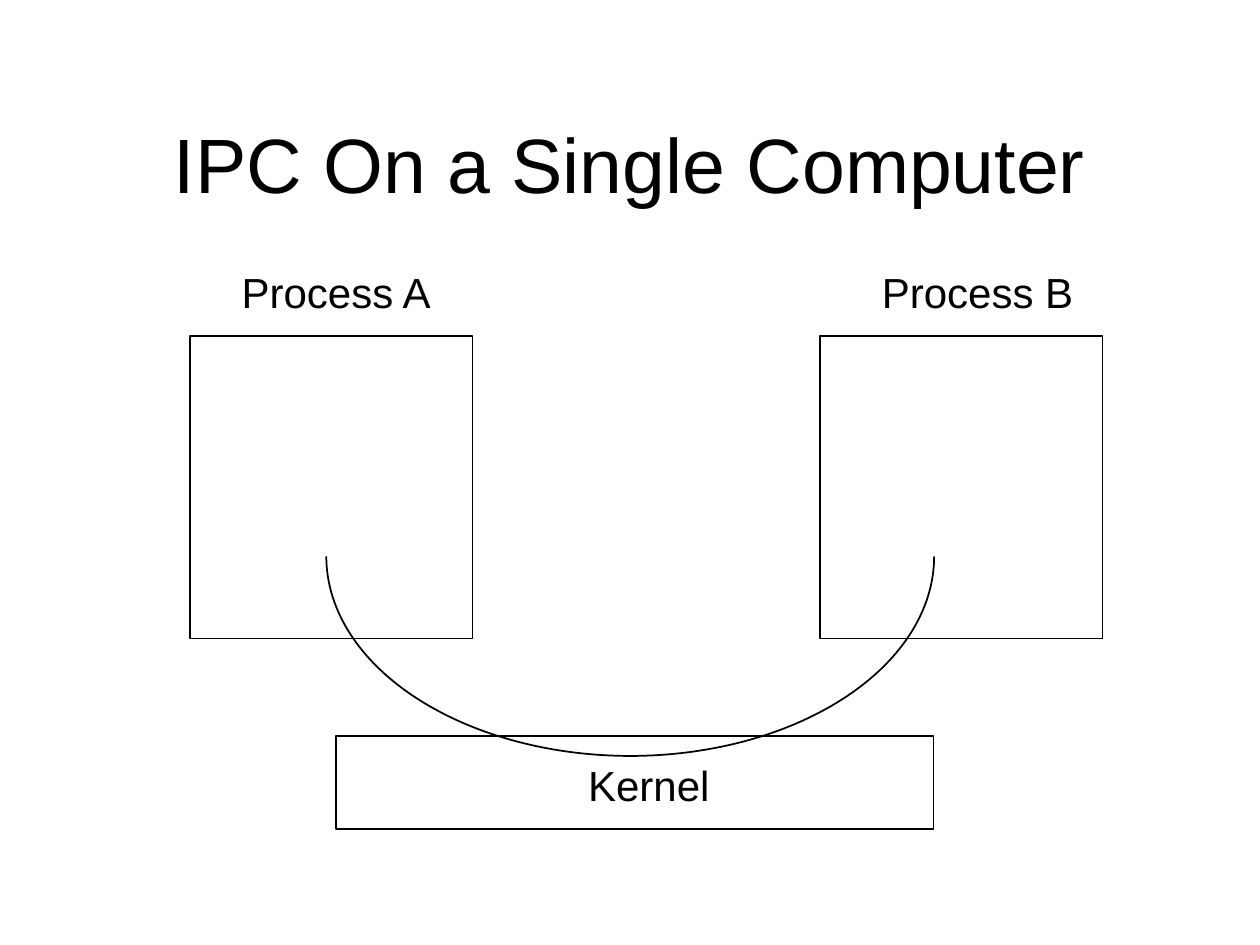
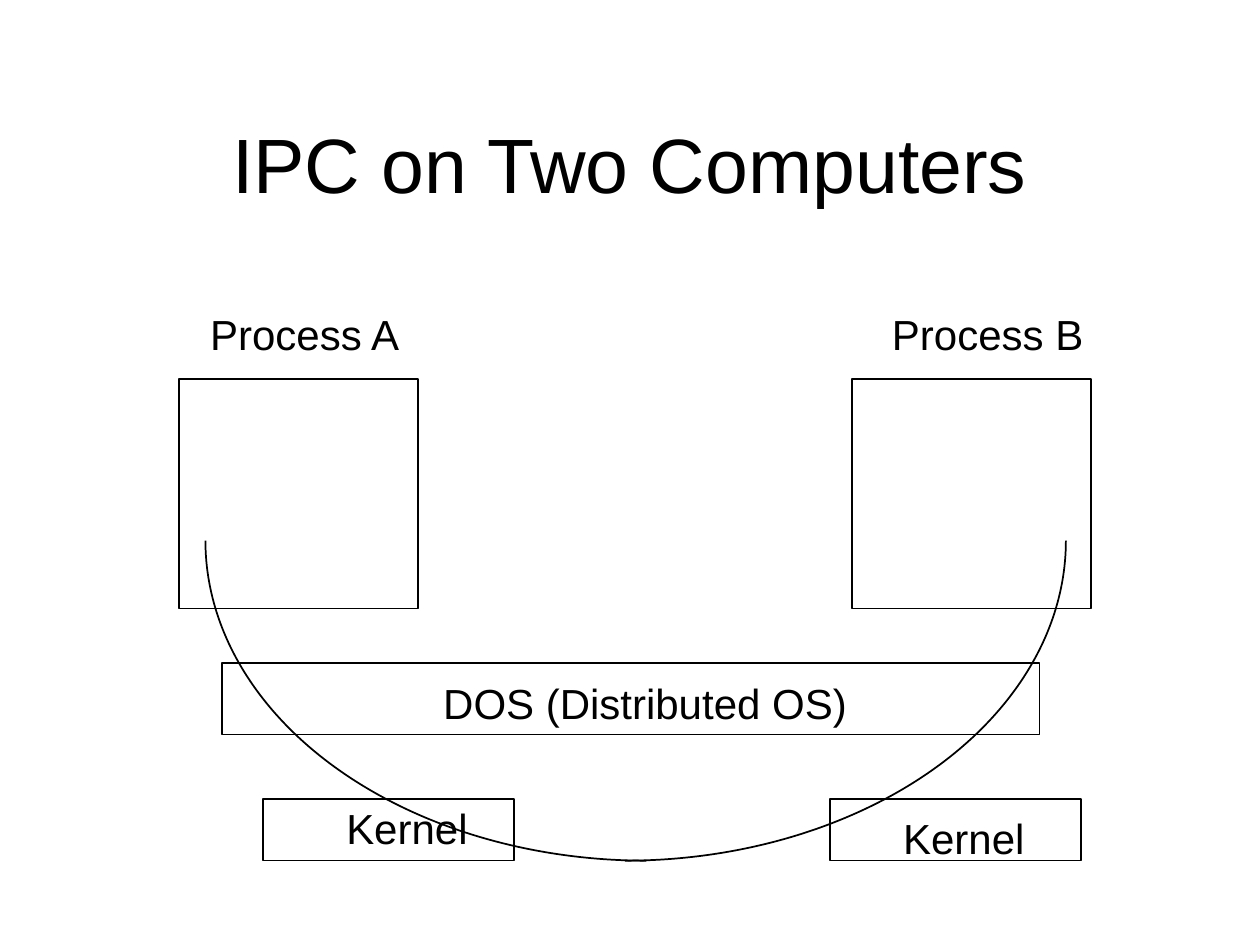
from pptx import Presentation
from pptx.dml.color import RGBColor
from pptx.enum.shapes import MSO_SHAPE as Kind
from pptx.enum.text import MSO_ANCHOR as Anchor, MSO_AUTO_SIZE as Fit, PP_ALIGN as Align
from pptx.util import Pt

INK = "000000"
FONT = "Arial"
RIGHT = (0, 90)
LEFT = (90, 180)

slides = [
    {
        "title": "IPC On a Single Computer",
        "boxes": [
            (108.7, 192.2, 161.3, 172.8),
            (468.7, 192.2, 161.3, 172.8),
            (192.2, 420.5, 341.3, 53.3),
        ],
        "labels": [
            ("Kernel", 329, 430.6, 84.2, False),
            ("Process A", 131, 149, 123.8, False),
            ("Process B", 496.8, 149, 123.8, False),
        ],
        "arcs": [
            (186.5, 203.8, 347.8, 228.2, LEFT),
            (186, 203.8, 347.8, 228.2, RIGHT),
        ],
    },
    {
        "title": "IPC on Two Computers",
        "boxes": [
            (102.2, 216.7, 136.8, 131),
            (486.7, 216.7, 136.8, 131),
            (126.7, 378.7, 467.3, 41),
            (474.5, 456.5, 143.3, 35.3),
            (150.5, 456.5, 143.3, 35.3),
        ],
        "labels": [
            ("Process A", 113, 172.8, 123.8, False),
            ("Process B", 502.6, 172.8, 123.8, False),
            ("DOS (Distributed OS)", 246.2, 383.8, 264.2, True),
            ("Kernel", 190.8, 455, 84.2, False),
            ("Kernel", 509, 460.8, 84.2, False),
        ],
        "arcs": [
            (105.1, 126, 504, 365.8, RIGHT),
            (117.4, 126, 504, 365.8, LEFT),
        ],
    },
]


def outline(slide, kind, x, y, w, h):
    shape = slide.shapes.add_shape(kind, Pt(x), Pt(y), Pt(w), Pt(h))
    shape.shadow.inherit = False
    shape.fill.background()
    shape.line.color.rgb = RGBColor.from_string(INK)
    shape.line.width = Pt(1)
    return shape


def write(slide, text, x, y, w, h, size, wrap):
    frame = slide.shapes.add_textbox(Pt(x), Pt(y), Pt(w), Pt(h)).text_frame
    frame.word_wrap = wrap
    run = frame.paragraphs[0].add_run()
    run.text = text
    run.font.name = FONT
    run.font.size = Pt(size)
    run.font.color.rgb = RGBColor.from_string(INK)
    return frame


deck = Presentation()
deck.slide_width, deck.slide_height = Pt(720), Pt(540)

for page in slides:
    slide = deck.slides.add_slide(deck.slide_layouts[6])
    title = write(slide, page["title"], 54, 48, 612, 90, 44, True)
    title.vertical_anchor = Anchor.MIDDLE
    title.paragraphs[0].alignment = Align.CENTER
    for box in page["boxes"]:
        outline(slide, Kind.RECTANGLE, *box)
    for text, x, y, w, wrap in page["labels"]:
        label = write(slide, text, x, y, w, 36, 24, wrap)
        label.auto_size = Fit.SHAPE_TO_FIT_TEXT
    for x, y, w, h, sweep in page["arcs"]:
        arc = outline(slide, Kind.ARC, x, y, w, h)
        for i, angle in enumerate(sweep):
            arc.adjustments[i] = angle * 0.6

deck.save("out.pptx")
